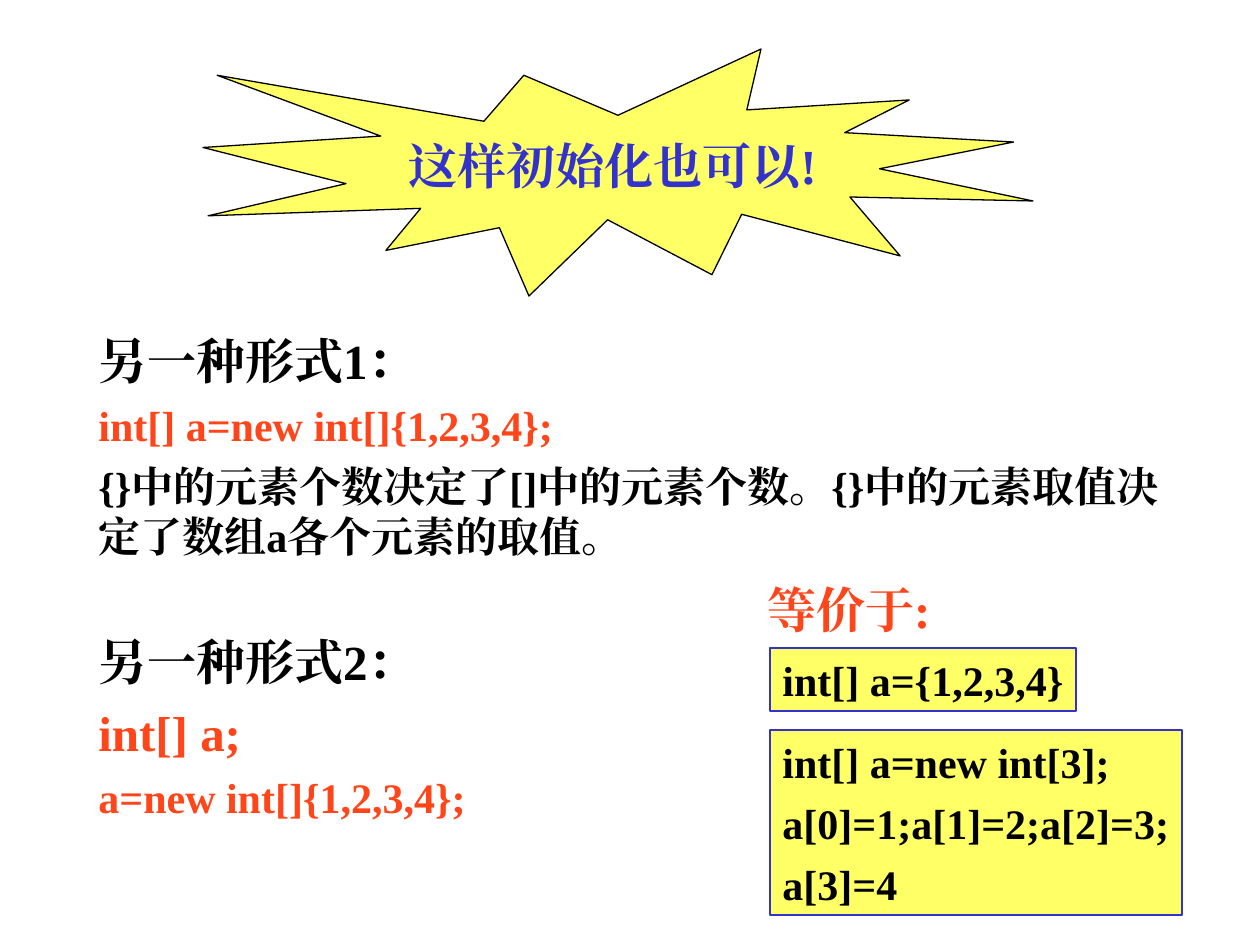
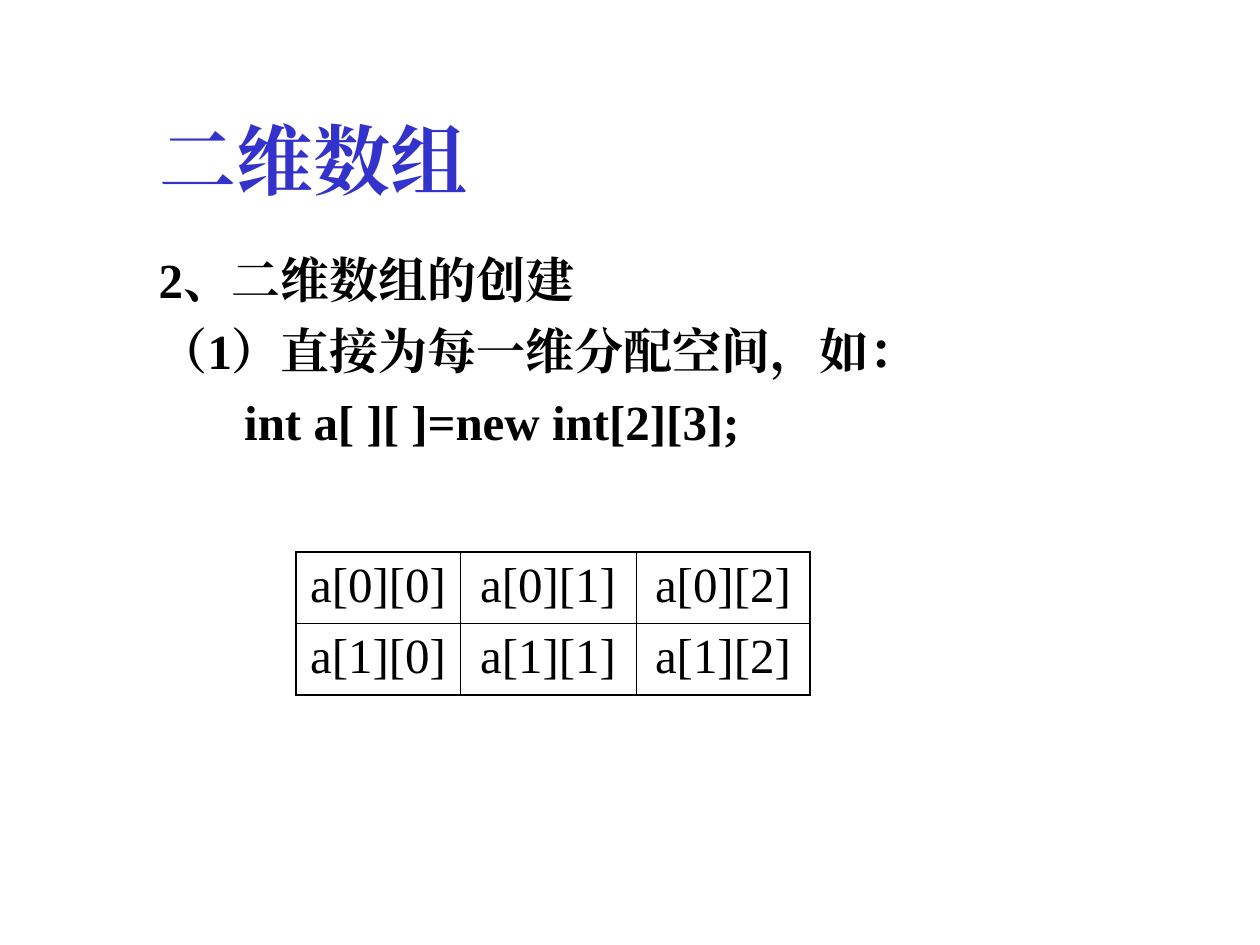
from dataclasses import dataclass

from lxml import etree
from pptx import Presentation
from pptx import util as u
from pptx.dml.color import RGBColor
from pptx.enum import lang, shapes, text
from pptx.oxml import ns

PX = u.Inches(1) / 126


@dataclass(frozen=True)
class Theme:
    font: str = "Times New Roman"
    ink: str = "000000"
    blue: str = "3333CC"
    red: str = "FF461B"
    yellow: str = "FFFF66"
    title: int = 44
    large: int = 28
    code: int = 24
    outline: float = 0.75
    table_edge: float = 1.08
    table_rule: float = 0.45


T = Theme()


@dataclass(frozen=True)
class Box:
    left: int
    top: int
    width: int
    height: int

    def emu(self) -> list[u.Emu]:
        return [px(v) for v in (self.left, self.top, self.width, self.height)]


@dataclass(frozen=True)
class Line:
    words: str
    size: int = T.large
    color: str = T.ink
    bold: bool = True
    before: int = 7


@dataclass(frozen=True)
class Panel:
    kind: shapes.MSO_SHAPE
    box: Box
    border: str
    lines: list[Line]
    align: text.PP_ALIGN = text.PP_ALIGN.LEFT
    anchor: text.MSO_ANCHOR = text.MSO_ANCHOR.TOP


def px(value: float) -> u.Emu:
    return u.Emu(round(value * PX))


def write(tf, lines: list[Line], align=text.PP_ALIGN.LEFT, hanging: int = 0) -> None:
    """Fill a text frame, one paragraph per line, with an optional hanging indent in px."""
    for i, line in enumerate(lines):
        p = tf.add_paragraph() if i else tf.paragraphs[0]
        pPr = p._p.get_or_add_pPr()
        pPr.set("marL", str(px(hanging)))
        pPr.set("indent", str(px(-hanging)))
        etree.SubElement(pPr, ns.qn("a:buNone"))
        p.alignment = align
        p.space_before = u.Pt(line.before if i else 0)
        r = p.add_run()
        r.text = line.words
        f = r.font
        f.name, f.size, f.bold = T.font, u.Pt(line.size), line.bold
        f.color.rgb = RGBColor.from_string(line.color)
        f.language_id = lang.MSO_LANGUAGE_ID.SIMPLIFIED_CHINESE
        etree.SubElement(r._r.rPr, ns.qn("a:ea"), typeface=T.font)


def set_frame(tf, wrap: bool, anchor: text.MSO_ANCHOR) -> None:
    tf.word_wrap = wrap
    tf.auto_size = text.MSO_AUTO_SIZE.NONE
    tf.vertical_anchor = anchor


def add_text(s, box: Box, lines: list[Line], wrap: bool, anchor=text.MSO_ANCHOR.TOP) -> None:
    tf = s.shapes.add_textbox(*box.emu()).text_frame
    set_frame(tf, wrap, anchor)
    write(tf, lines)


def add_panel(s, panel: Panel) -> None:
    sp = s.shapes.add_shape(panel.kind, *panel.box.emu())
    sp.shadow.inherit = False
    sp.fill.solid()
    sp.fill.fore_color.rgb = RGBColor.from_string(T.yellow)
    sp.line.color.rgb = RGBColor.from_string(panel.border)
    sp.line.width = u.Pt(T.outline)
    set_frame(sp.text_frame, False, panel.anchor)
    write(sp.text_frame, panel.lines, panel.align)


def fill_placeholder(sp, box: Box, lines: list[Line], anchor, hanging: int = 0) -> None:
    sp.left, sp.top, sp.width, sp.height = box.emu()
    set_frame(sp.text_frame, True, anchor)
    write(sp.text_frame, lines, hanging=hanging)


def set_borders(cell, outer: dict[str, bool]) -> None:
    """Draw the four cell borders, heavier on the sides that lie on the table's edge."""
    tcPr = cell._tc.get_or_add_tcPr()
    for i, (side, is_edge) in enumerate(outer.items()):
        width = u.Pt(T.table_edge if is_edge else T.table_rule)
        ln = etree.Element(ns.qn(f"a:ln{side}"), w=str(width))
        fill = etree.SubElement(ln, ns.qn("a:solidFill"))
        etree.SubElement(fill, ns.qn("a:srgbClr"), val=T.ink)
        tcPr.insert(i, ln)


def add_array_table(s, box: Box, col_widths: list[int], rows: int) -> None:
    cols = len(col_widths)
    table = s.shapes.add_table(rows, cols, *box.emu()).table
    table.first_row = table.horz_banding = False
    for column, width in zip(table.columns, col_widths):
        column.width = px(width)
    for i, row in enumerate(table.rows):
        row.height = px(box.height / rows)
        for j, cell in enumerate(row.cells):
            cell.fill.background()
            set_borders(cell, {"L": j == 0, "R": j == cols - 1,
                               "T": i == 0, "B": i == rows - 1})
            write(cell.text_frame, [Line(f"a[{i}][{j}]", bold=False)],
                  text.PP_ALIGN.CENTER)


def code(words: str, color: str = T.ink) -> Line:
    return Line(words, T.code, color, before=6)


def build_initializers(prs) -> None:
    s = prs.slides.add_slide(prs.slide_layouts[6])
    add_text(s, Box(86, 322, 1120, 508), [
        Line("另一种形式1："),
        code("int[] a=new int[]{1,2,3,4};", T.red),
        code("{}中的元素个数决定了[]中的元素个数。{}中的元素取值决定了数组a各个元素的取值。"),
        Line("另一种形式2：", before=40),
        Line("int[] a;", color=T.red),
        code("a=new int[]{1,2,3,4};", T.red),
    ], True, text.MSO_ANCHOR.MIDDLE)
    add_text(s, Box(755, 573, 200, 72), [Line("等价于:", color=T.red)], False)
    rect = shapes.MSO_SHAPE.RECTANGLE
    for panel in (
        Panel(shapes.MSO_SHAPE.EXPLOSION1, Box(203, 49, 830, 247), T.ink,
              [Line("这样初始化也可以!", color=T.blue)],
              text.PP_ALIGN.CENTER, text.MSO_ANCHOR.MIDDLE),
        Panel(rect, Box(770, 648, 306, 63), T.blue, [code("int[] a={1,2,3,4}")]),
        Panel(rect, Box(770, 730, 412, 185), T.blue,
              [code("int[] a=new int[3];"), code("a[0]=1;a[1]=2;a[2]=3;"),
               code("a[3]=4")]),
    ):
        add_panel(s, panel)


def build_two_dimensional(prs) -> None:
    s = prs.slides.add_slide(prs.slide_layouts[1])
    fill_placeholder(s.shapes.title, Box(147, 53, 1071, 158),
                     [Line("二维数组", T.title, T.blue)], text.MSO_ANCHOR.BOTTOM)
    fill_placeholder(s.placeholders[1], Box(146, 243, 863, 567), [
        Line("2、二维数组的创建"),
        Line("（1）直接为每一维分配空间，如："),
        Line("       int a[ ][ ]=new int[2][3];"),
    ], text.MSO_ANCHOR.TOP, hanging=48)
    add_array_table(s, Box(296, 552, 514, 143), [164, 176, 174], rows=2)


def main() -> None:
    prs = Presentation()
    prs.slide_width, prs.slide_height = px(1260), px(945)
    build_initializers(prs)
    build_two_dimensional(prs)
    prs.save("out.pptx")


if __name__ == "__main__":
    main()
